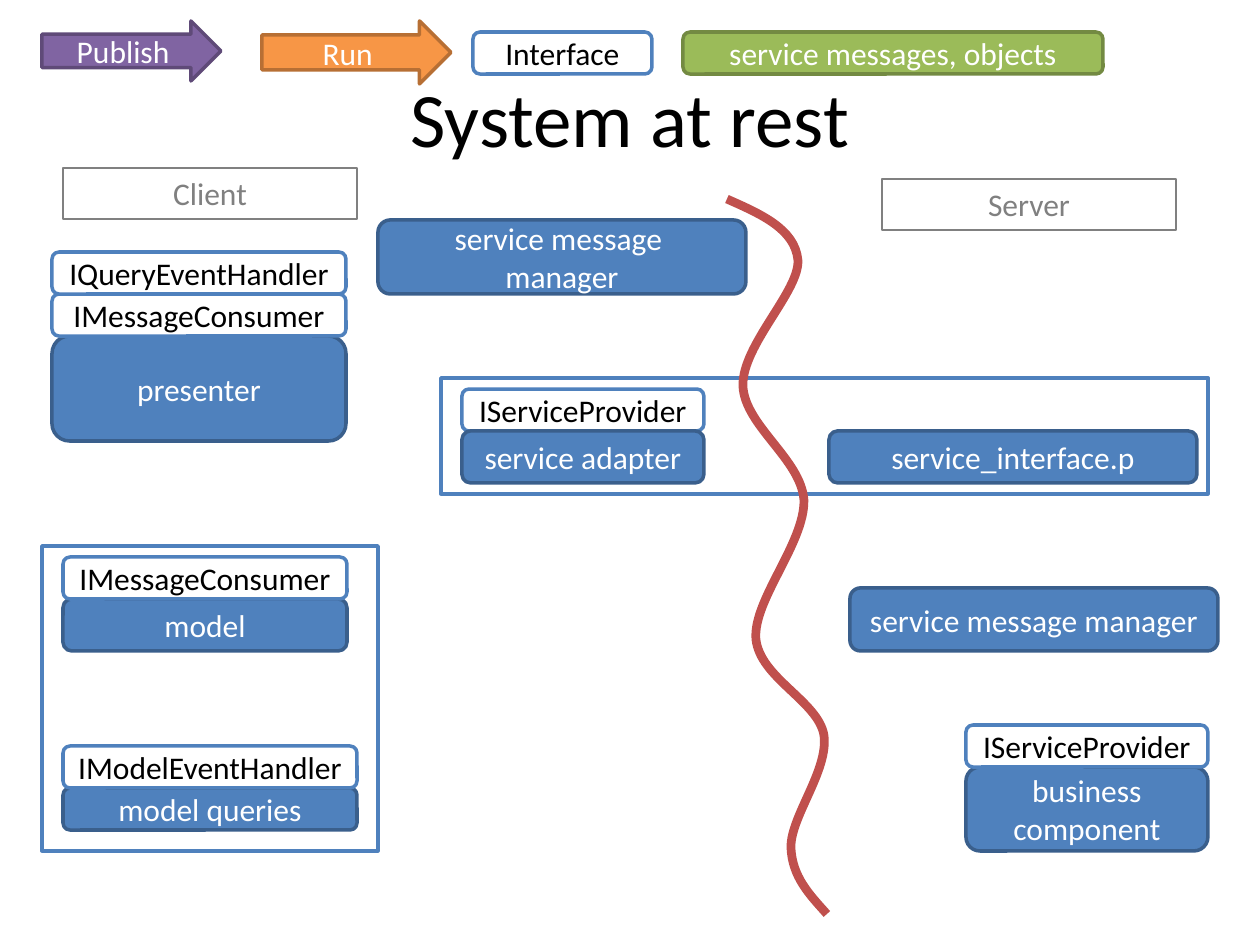
from dataclasses import dataclass
from typing import Optional

from lxml.etree import SubElement
from pptx import Presentation
from pptx.dml.color import RGBColor
from pptx.enum.shapes import MSO_SHAPE
from pptx.enum.text import MSO_ANCHOR, MSO_AUTO_SIZE, PP_ALIGN
from pptx.oxml.ns import qn
from pptx.util import Emu, Pt

SCALE = 914400 / 126
FONT = "Calibri"


@dataclass(frozen=True)
class Style:
    fill: Optional[str]
    line: str
    text: str
    shape: MSO_SHAPE = MSO_SHAPE.ROUNDED_RECTANGLE
    width: float = 2


@dataclass(frozen=True)
class Box:
    style: Style
    x: int
    y: int
    w: int
    h: int
    text: str = ""


COMPONENT = Style("4F81BD", "3A5F8C", "FFFFFF")
INTERFACE = Style("FFFFFF", "4F81BD", "000000")
MESSAGE = Style("9BBB59", "738A42", "FFFFFF")
FRAME = Style("FFFFFF", "4F81BD", "000000", MSO_SHAPE.RECTANGLE)
SIDE = Style(None, "808080", "808080", MSO_SHAPE.RECTANGLE, 0.75)
PUBLISH = Style("8064A2", "5F4A78", "FFFFFF", MSO_SHAPE.RIGHT_ARROW)
RUN = Style("F79646", "B76F34", "FFFFFF", MSO_SHAPE.RIGHT_ARROW)

BOXES = [
    Box(COMPONENT, 378, 220, 368, 74, "service message \nmanager"),
    Box(COMPONENT, 966, 767, 242, 84, "business component"),
    Box(INTERFACE, 966, 725, 242, 42, "IServiceProvider"),
    Box(COMPONENT, 850, 588, 368, 63, "service message manager"),
    Box(FRAME, 441, 378, 767, 116),
    Box(INTERFACE, 462, 389, 242, 42, "IServiceProvider"),
    Box(COMPONENT, 462, 431, 242, 52, "service adapter"),
    Box(COMPONENT, 829, 431, 368, 52, "service_interface.p"),
    Box(SIDE, 63, 168, 294, 51, "Client"),
    Box(SIDE, 882, 179, 294, 51, "Server"),
    Box(COMPONENT, 52, 336, 294, 105, "presenter"),
    Box(INTERFACE, 52, 294, 294, 42, "IMessageConsumer"),
    Box(INTERFACE, 52, 252, 294, 42, "IQueryEventHandler"),
    Box(FRAME, 42, 546, 336, 305),
    Box(COMPONENT, 63, 599, 284, 52, "model"),
    Box(INTERFACE, 63, 557, 284, 42, "IMessageConsumer"),
    Box(COMPONENT, 63, 788, 294, 42, "model queries"),
    Box(INTERFACE, 63, 746, 294, 42, "IModelEventHandler"),
    Box(PUBLISH, 42, 21, 179, 60, "Publish"),
    Box(RUN, 262, 21, 189, 63, "Run"),
    Box(INTERFACE, 473, 32, 179, 42, "Interface"),
    Box(MESSAGE, 683, 32, 420, 42, "service messages, objects"),
]

BOUNDARY_START = (727, 199)
BOUNDARY_CURVES = [
    (761, 214), (795, 229), (798, 260),
    (800, 291), (742, 345), (743, 386),
    (745, 426), (801, 459), (804, 500),
    (805, 543), (753, 600), (756, 639),
    (760, 678), (818, 701), (824, 735),
    (829, 770), (791, 816), (791, 847),
    (792, 877), (810, 895), (827, 914),
]


def px(n: float) -> Emu:
    return Emu(round(n * SCALE))


def rgb(value: str) -> RGBColor:
    return RGBColor.from_string(value)


def write(tf, text: str, size: int, color: str) -> None:
    tf.word_wrap = True
    tf.vertical_anchor = MSO_ANCHOR.MIDDLE
    p = tf.paragraphs[0]
    p.text = text
    p.alignment = PP_ALIGN.CENTER
    p.font.name = FONT
    p.font.size = Pt(size)
    p.font.color.rgb = rgb(color)


def set_line(sp, color: str, width: float) -> None:
    sp.shadow.inherit = False
    sp.line.color.rgb = rgb(color)
    sp.line.width = Pt(width)


def draw_title(s) -> None:
    sp = s.shapes.add_textbox(px(63), px(38), px(1134), px(157))
    write(sp.text_frame, "System at rest", 44, "000000")


def draw_box(s, box: Box) -> None:
    style = box.style
    sp = s.shapes.add_shape(style.shape, px(box.x), px(box.y), px(box.w), px(box.h))
    set_line(sp, style.line, style.width)
    if style.fill:
        sp.fill.solid()
        sp.fill.fore_color.rgb = rgb(style.fill)
    else:
        sp.fill.background()
    if style.shape == MSO_SHAPE.RIGHT_ARROW:
        sp.adjustments[0] = 0.556
        sp.adjustments[1] = 0.5
    if box.text:
        write(sp.text_frame, box.text, 18, style.text)
    if style is SIDE:
        sp.text_frame.vertical_anchor = MSO_ANCHOR.TOP
        sp.text_frame.auto_size = MSO_AUTO_SIZE.SHAPE_TO_FIT_TEXT


def draw_boundary(s) -> None:
    builder = s.shapes.build_freeform(*BOUNDARY_START, scale=SCALE)
    builder.add_line_segments(BOUNDARY_CURVES, close=False)
    sp = builder.convert_to_shape()
    set_line(sp, "C0504D", 5)
    sp.fill.background()
    outline = sp.element.find(".//" + qn("a:path"))
    lines = outline.findall(qn("a:lnTo"))
    for i in range(0, len(lines), 3):
        curve = SubElement(outline, qn("a:cubicBezTo"))
        for line in lines[i:i + 3]:
            curve.append(line[0])
            outline.remove(line)


prs = Presentation()
prs.slide_width, prs.slide_height = px(1260), px(945)
s = prs.slides.add_slide(prs.slide_layouts[6])
draw_title(s)
for box in BOXES:
    draw_box(s, box)
draw_boundary(s)
prs.save("out.pptx")
